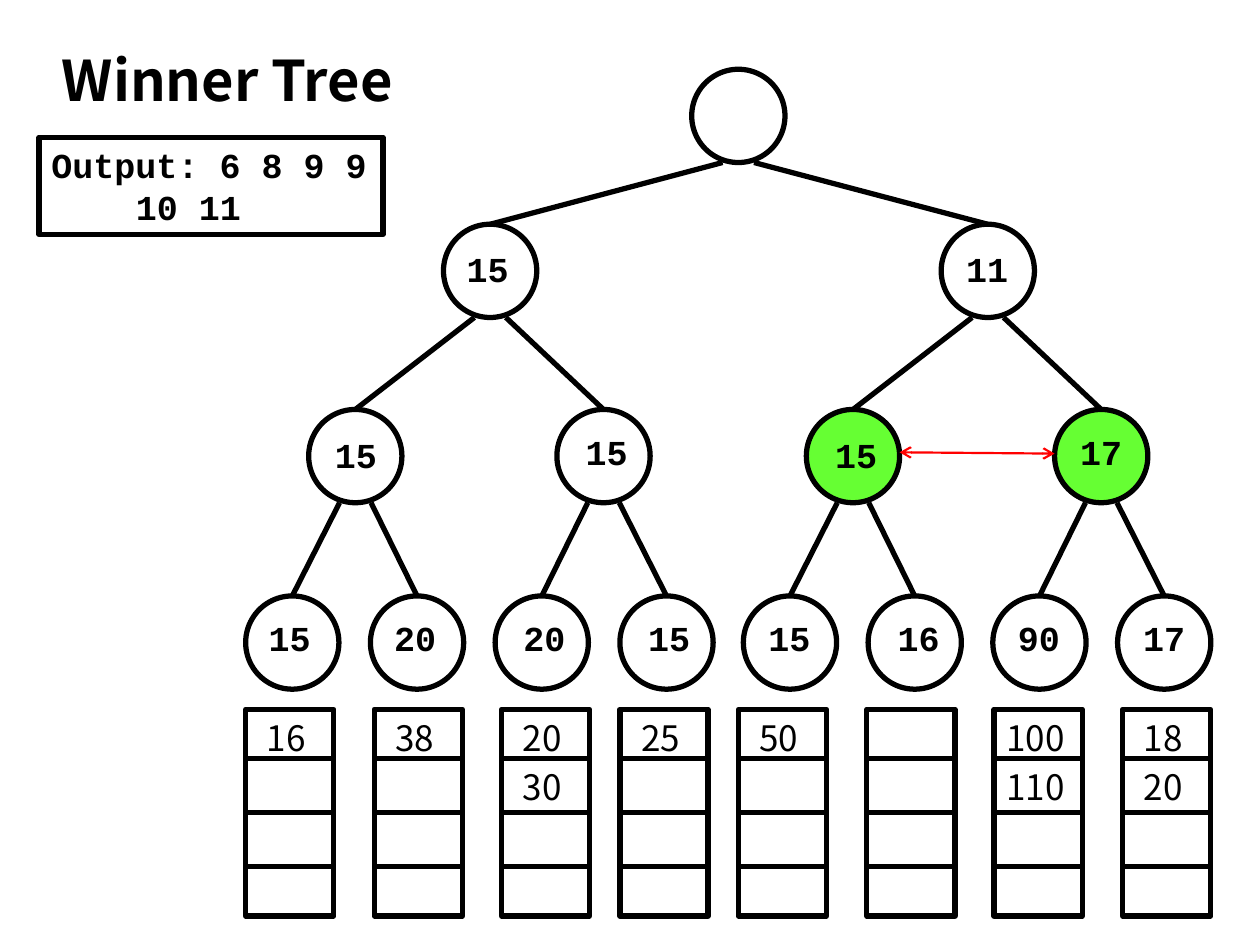
from dataclasses import dataclass

import pptx
import pptx.dml.color
import pptx.enum.shapes
import pptx.enum.text
import pptx.oxml.ns
import pptx.util
from lxml import etree

Inches = pptx.util.Inches
Pt = pptx.util.Pt
Align = pptx.enum.text.PP_ALIGN
Kind = pptx.enum.shapes.MSO_SHAPE

BLACK, GREEN, RED = "000000", "66FF33", "FF0000"
MONO, SANS = "Courier New", "Noto Sans CJK KR"
DIAMETER = 0.74
FORK = 0.125  # sideways offset of each branch below its parent's centre
LABEL_HEIGHT = 0.44
RUN_TOP, RUN_WIDTH, RUN_HEIGHT = 5.63, 0.7, 1.64
FIRST_CELL, NEXT_CELL = 0.39, 0.43


@dataclass
class Node:
    left: float
    top: float
    key: str = ""
    label_left: float = 0
    label_top: float = 0
    label_width: float = 0
    fill: str | None = None


@dataclass
class SortedRun:
    left: float
    values: tuple[str, ...] = ()


# Heap order: the parent of node i is node (i - 1) // 2.
NODES = [
    Node(5.49, 0.55),
    Node(3.52, 1.78, "15", 3.60, 1.91, 0.54),
    Node(7.47, 1.78, "11", 7.55, 1.91, 0.57),
    Node(2.45, 3.25, "15", 2.53, 3.39, 0.59),
    Node(4.42, 3.25, "15", 4.45, 3.36, 0.73),
    Node(6.40, 3.25, "15", 6.48, 3.39, 0.63, GREEN),
    Node(8.37, 3.25, "17", 8.36, 3.36, 0.76, GREEN),
    Node(1.95, 4.73, "15", 1.95, 4.84, 0.70),
    Node(2.94, 4.73, "20", 2.97, 4.84, 0.65),
    Node(3.93, 4.73, "20", 3.98, 4.84, 0.68),
    Node(4.92, 4.73, "15", 5.00, 4.84, 0.62),
    Node(5.90, 4.73, "15", 5.94, 4.84, 0.65),
    Node(6.89, 4.73, "16", 6.95, 4.84, 0.68),
    Node(7.88, 4.73, "90", 7.89, 4.84, 0.71),
    Node(8.87, 4.73, "17", 8.91, 4.84, 0.66),
]

RUNS = [
    SortedRun(1.95, ("16",)),
    SortedRun(2.97, ("38",)),
    SortedRun(3.98, ("20", "30")),
    SortedRun(4.92, ("25",)),
    SortedRun(5.86, ("50",)),
    SortedRun(6.88),
    SortedRun(7.89, ("100", "110")),
    SortedRun(8.91, ("18", "20")),
]


def rgb(color: str) -> pptx.dml.color.RGBColor:
    return pptx.dml.color.RGBColor.from_string(color)


def write(paragraph, text: str, font: str, size: float = 20, bold: bool = False,
          align=Align.LEFT) -> None:
    paragraph.alignment = align
    run = paragraph.add_run()
    run.text = text
    run.font.name = font
    run.font.size = Pt(size)
    run.font.bold = bold
    run.font.color.rgb = rgb(BLACK)


def middle_frame(shape):
    """Return the shape's text frame, wrapped and centred vertically."""
    frame = shape.text_frame
    frame.word_wrap = True
    frame.vertical_anchor = pptx.enum.text.MSO_ANCHOR.MIDDLE
    return frame


def add_label(slide, left: float, top: float, width: float, text: str, font: str,
              bold: bool = False, align=Align.LEFT) -> None:
    label = slide.shapes.add_textbox(
        Inches(left), Inches(top), Inches(width), Inches(LABEL_HEIGHT))
    write(middle_frame(label).paragraphs[0], text, font, bold=bold, align=align)


def add_outline(slide, kind, left: float, top: float, width: float, height: float,
                fill: str | None = None):
    shape = slide.shapes.add_shape(
        kind, Inches(left), Inches(top), Inches(width), Inches(height))
    shape.shadow.inherit = False
    if fill:
        shape.fill.solid()
        shape.fill.fore_color.rgb = rgb(fill)
    else:
        shape.fill.background()
    shape.line.color.rgb = rgb(BLACK)
    shape.line.width = Pt(3)
    return shape


def add_line(slide, x1: float, y1: float, x2: float, y2: float,
             color: str = BLACK, width: float = 3):
    line = slide.shapes.add_connector(
        pptx.enum.shapes.MSO_CONNECTOR.STRAIGHT,
        Inches(x1), Inches(y1), Inches(x2), Inches(y2))
    line.line.color.rgb = rgb(color)
    line.line.width = Pt(width)
    etree.SubElement(line._element.spPr, pptx.oxml.ns.qn("a:effectLst"))
    return line


def add_double_arrow(slide, x1: float, y1: float, x2: float, y2: float) -> None:
    arrow = add_line(slide, x1, y1, x2, y2, RED, 1.25)
    outline = arrow.line._get_or_add_ln()
    for end in ("a:headEnd", "a:tailEnd"):
        etree.SubElement(outline, pptx.oxml.ns.qn(end), type="arrow")


def add_tree(slide, nodes: list[Node]) -> None:
    circles = [add_outline(slide, Kind.OVAL, node.left, node.top, DIAMETER, DIAMETER,
                           node.fill) for node in nodes]
    for node in nodes:
        if node.key:
            add_label(slide, node.left and node.label_left, node.label_top,
                      node.label_width, node.key, MONO, True, Align.CENTER)
    for i, child in enumerate(nodes[1:], start=1):
        parent = nodes[(i - 1) // 2]
        side = -FORK if i % 2 else FORK
        branch = add_line(slide, child.left + DIAMETER / 2, child.top,
                          parent.left + DIAMETER / 2 + side, parent.top + DIAMETER)
        branch.begin_connect(circles[i], 0)


def add_sorted_run(slide, run: SortedRun) -> None:
    add_outline(slide, Kind.RECTANGLE, run.left, RUN_TOP, RUN_WIDTH, RUN_HEIGHT)
    for i in range(3):
        y = RUN_TOP + FIRST_CELL + i * NEXT_CELL
        add_line(slide, run.left, y, run.left + RUN_WIDTH, y)
    for row, value in enumerate(run.values):
        inset, width = (0, 0.71) if len(value) > 2 else (0.07, 0.56)
        add_label(slide, run.left + inset, RUN_TOP + row * FIRST_CELL, width, value, SANS)


def add_title(slide) -> None:
    title = slide.shapes.title
    title.left, title.top = Inches(0.39), Inches(0.31)
    title.width, title.height = Inches(3.36), Inches(0.64)
    write(middle_frame(title).paragraphs[0], "Winner Tree", SANS, 32, True)


def add_output(slide) -> None:
    output = add_outline(slide, Kind.RECTANGLE, 0.31, 1.09, 2.73, 0.77)
    frame = middle_frame(output)
    write(frame.paragraphs[0], "Output: 6 8 9 9", MONO, bold=True)
    continuation = frame.add_paragraph()
    continuation._p.get_or_add_pPr().set("marL", str(Inches(0.67)))
    write(continuation, "10 11", MONO, bold=True)


def main() -> None:
    deck = pptx.Presentation()
    deck.slide_width, deck.slide_height = Inches(10), Inches(7.5)
    slide = deck.slides.add_slide(deck.slide_layouts[5])
    add_title(slide)
    add_tree(slide, NODES)
    for run in RUNS:
        add_sorted_run(slide, run)
    add_output(slide)
    add_double_arrow(slide, 7.14, 3.59, 8.37, 3.6)
    deck.save("out.pptx")


if __name__ == "__main__":
    main()
